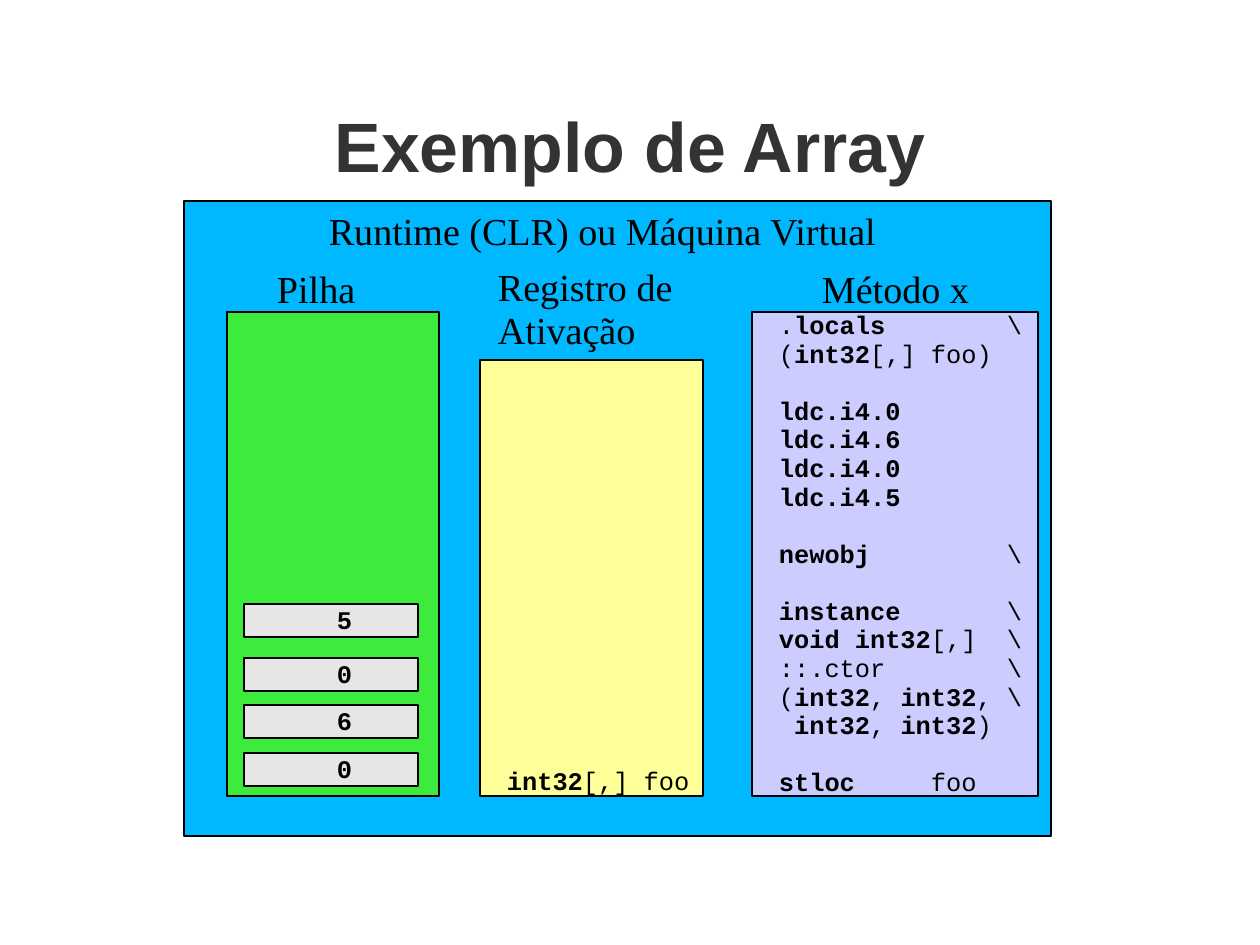
from lxml.etree import SubElement
from pptx import Presentation
from pptx.dml.color import RGBColor
from pptx.enum.shapes import MSO_SHAPE
from pptx.enum.text import MSO_ANCHOR, PP_ALIGN
from pptx.oxml.ns import qn
from pptx.util import Pt

PX = 8000  # EMU per px
COLORS = {
    "title": "333333",
    "text": "000000",
    "line": "000000",
    "runtime": "00B8FF",
    "stack": "3DEB3D",
    "record": "FFFF99",
    "method": "CCCCFF",
    "value": "E6E6E6",
}
CODE_INSET = 27
CODE_COLUMN = 228
OPERAND_COLUMN = 152
CODE_LINE = Pt(18)

# (text with bold parts between asterisks, tab column, gap above)
METHOD_CODE = [
    (".*locals*\t\\", CODE_COLUMN, False),
    ("(*int32*[,] foo)", CODE_COLUMN, False),
    ("*ldc.i4.0*", CODE_COLUMN, True),
    ("*ldc.i4.6*", CODE_COLUMN, False),
    ("*ldc.i4.0*", CODE_COLUMN, False),
    ("*ldc.i4.5*", CODE_COLUMN, False),
    ("*newobj*\t\\", CODE_COLUMN, True),
    ("*instance*\t\\", CODE_COLUMN, True),
    ("*void int32*[,]\t\\", CODE_COLUMN, False),
    ("::.ctor\t\\", CODE_COLUMN, False),
    ("(*int32*, *int32*, \\", CODE_COLUMN, False),
    (" *int32*, *int32*)", CODE_COLUMN, False),
    ("*stloc*\tfoo", OPERAND_COLUMN, True),
]


def color(name):
    return RGBColor.from_string(COLORS[name])


def scaled(*lengths):
    return [length * PX for length in lengths]


def set_frame(frame, anchor, left_inset=0):
    frame.word_wrap = True
    frame.vertical_anchor = anchor
    frame.margin_left = left_inset * PX
    frame.margin_top = frame.margin_right = frame.margin_bottom = 0


def add_run(paragraph, text, font, size, bold=False, color_name="text"):
    run = paragraph.add_run()
    run.text = text
    run.font.name = font
    run.font.size = Pt(size)
    run.font.bold = bold
    run.font.color.rgb = color(color_name)


def add_code(paragraph, code):
    """Add code runs; the parts between asterisks are bold."""
    paragraph.line_spacing = CODE_LINE
    for index, part in enumerate(code.split("*")):
        if part:
            add_run(paragraph, part, "Courier New", 16, bold=index % 2 == 1)


def add_tab_stop(paragraph, column):
    tabs = SubElement(paragraph._p.get_or_add_pPr(), qn("a:tabLst"))
    SubElement(tabs, qn("a:tab"), pos=str(column * PX), algn="l")


def add_panel(slide, box, fill):
    panel = slide.shapes.add_shape(MSO_SHAPE.RECTANGLE, *scaled(*box))
    panel.shadow.inherit = False
    panel.fill.solid()
    panel.fill.fore_color.rgb = color(fill)
    panel.line.color.rgb = color("line")
    panel.line.width = Pt(0.75)
    return panel


def add_label(slide, box, lines, align=PP_ALIGN.LEFT):
    frame = slide.shapes.add_textbox(*scaled(*box)).text_frame
    set_frame(frame, MSO_ANCHOR.TOP)
    paragraph = frame.paragraphs[0]
    paragraph.alignment = align
    paragraph.line_spacing = 0.93
    for index, line in enumerate(lines):
        if index:
            paragraph.add_line_break()
        add_run(paragraph, line, "Times New Roman", 24)


def add_title(slide, box):
    title = slide.shapes.title
    title.left, title.top, title.width, title.height = scaled(*box)
    set_frame(title.text_frame, MSO_ANCHOR.MIDDLE)
    paragraph = title.text_frame.paragraphs[0]
    paragraph.alignment = PP_ALIGN.CENTER
    paragraph.line_spacing = 0.93
    add_run(paragraph, "Exemplo de Array", "Arial", 44, True, "title")


def add_runtime(slide, box):
    left, top, width, height = box
    add_panel(slide, box, "runtime")
    add_label(slide, (left + 143, top + 10, 551, 42),
              ["Runtime (CLR) ou Máquina Virtual"], PP_ALIGN.CENTER)


def add_stack(slide, box):
    left, top, width, height = box
    add_panel(slide, box, "stack")
    add_label(slide, (left + 50, top - 43, 110, 42), ["Pilha"])
    for value, offset in zip("0605", (441, 393, 346, 292)):
        chip = add_panel(slide, (left + 17, top + offset, 174, 33), "value")
        set_frame(chip.text_frame, MSO_ANCHOR.MIDDLE, CODE_INSET)
        paragraph = chip.text_frame.paragraphs[0]
        paragraph.alignment = PP_ALIGN.CENTER
        add_code(paragraph, f"*{value}*")


def add_activation_record(slide, box):
    left, top, width, height = box
    add_panel(slide, box, "record")
    add_label(slide, (left + 18, top - 92, 190, 85), ["Registro de", "Ativação"])
    local = slide.shapes.add_textbox(*scaled(left, top + height - 29, width, 29))
    set_frame(local.text_frame, MSO_ANCHOR.TOP, CODE_INSET)
    add_code(local.text_frame.paragraphs[0], "*int32*[,] foo")


def add_method(slide, box):
    left, top, width, height = box
    frame = add_panel(slide, box, "method").text_frame
    set_frame(frame, MSO_ANCHOR.MIDDLE, CODE_INSET)
    for index, (code, column, gap) in enumerate(METHOD_CODE):
        paragraph = frame.add_paragraph() if index else frame.paragraphs[0]
        paragraph.alignment = PP_ALIGN.LEFT
        if gap:
            paragraph.space_before = CODE_LINE
        add_code(paragraph, code)
        add_tab_stop(paragraph, column)
    add_label(slide, (left + 70, top - 43, 170, 42), ["Método x"])


def main():
    presentation = Presentation()
    presentation.slide_width, presentation.slide_height = scaled(1260, 945)
    slide = presentation.slides.add_slide(presentation.slide_layouts[5])
    add_title(slide, (93, 70, 1075, 158))
    add_runtime(slide, (184, 201, 867, 635))
    add_stack(slide, (227, 312, 212, 484))
    add_activation_record(slide, (480, 360, 223, 436))
    add_method(slide, (752, 312, 286, 484))
    presentation.save("out.pptx")


if __name__ == "__main__":
    main()
